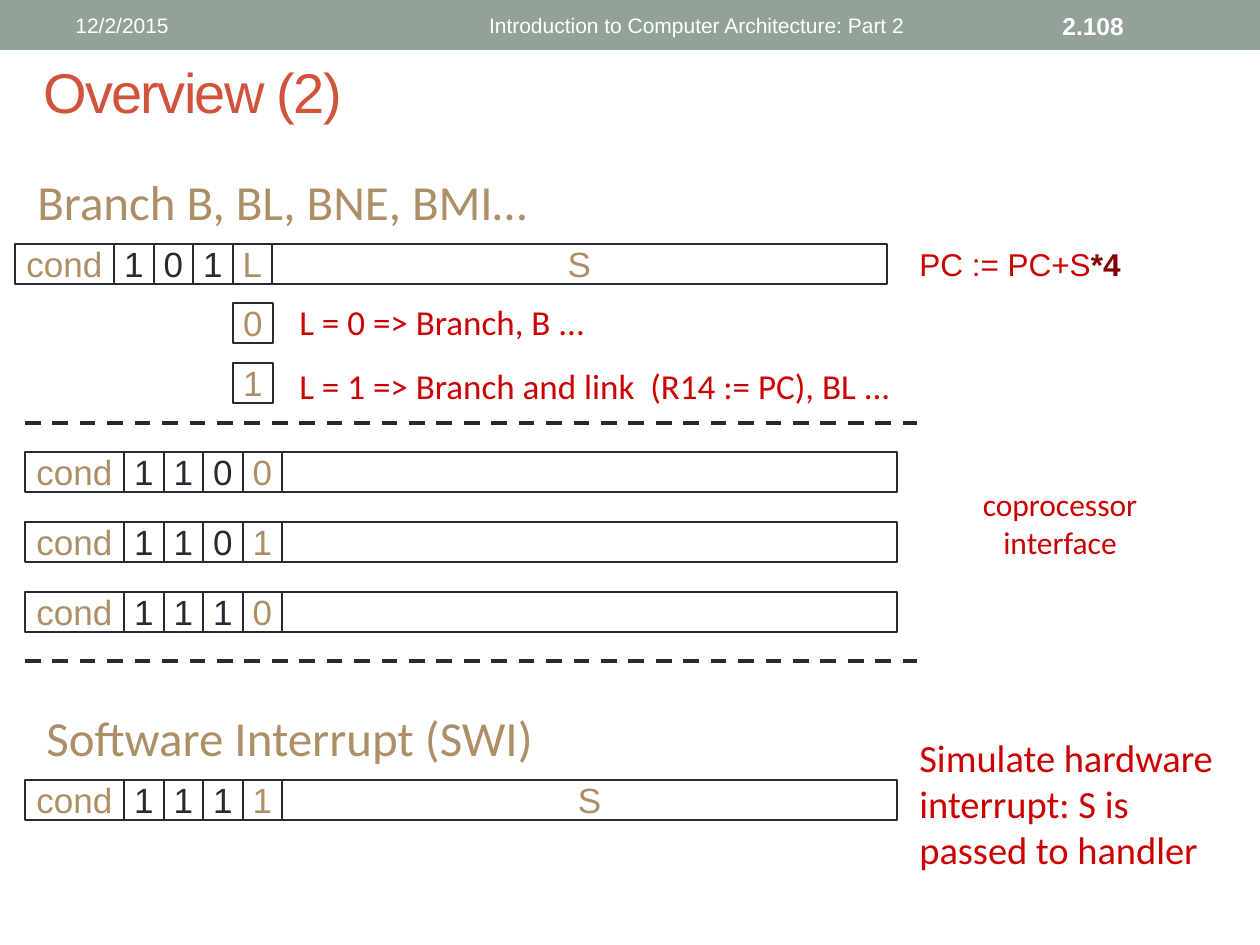
from lxml import etree
from pptx import Presentation
from pptx.dml.color import RGBColor
from pptx.enum.dml import MSO_LINE
from pptx.enum.shapes import MSO_CONNECTOR, MSO_SHAPE
from pptx.enum.text import MSO_ANCHOR, PP_ALIGN
from pptx.oxml.ns import qn
from pptx.util import Emu, Pt

RECTANGLE = MSO_SHAPE.RECTANGLE
STRAIGHT = MSO_CONNECTOR.STRAIGHT
DASH = MSO_LINE.DASH
TOP, MIDDLE = MSO_ANCHOR.TOP, MSO_ANCHOR.MIDDLE
LEFT, CENTER, RIGHT = PP_ALIGN.LEFT, PP_ALIGN.CENTER, PP_ALIGN.RIGHT

EMU_PER_PX = 914400 / 126
INK, TAN, RED, MAROON = "292934", "AD8F67", "CC0000", "800000"
SAGE, CORAL, WHITE = "93A299", "D2533C", "FFFFFF"
SANS, HUMANIST = "Arial", "Calibri"

CELL_HEIGHT = 40
# Field borders of an instruction word: cond, four opcode bits, operand
FIELD_EDGES = (0, 99, 139, 178, 218, 257, 872)
FIELD_COLORS = (TAN, INK, INK, INK, TAN, TAN)


def px(value):
    return Emu(round(value * EMU_PER_PX))


def color(hex_string):
    return RGBColor.from_string(hex_string)


class SlideBuilder:
    def __init__(self, slide):
        self.slide = slide

    def style(self, paragraph, size, font, hex_color, align, bold=False):
        paragraph.alignment = align
        paragraph.font.size = Pt(size)
        paragraph.font.name = font
        paragraph.font.bold = bold
        paragraph.font.color.rgb = color(hex_color)

    def rectangle(self, left, top, width, height):
        shape = self.slide.shapes.add_shape(
            RECTANGLE, px(left), px(top), px(width), px(height))
        shape.shadow.inherit = False
        return shape

    def band(self, left, top, width, height, fill):
        shape = self.rectangle(left, top, width, height)
        shape.fill.solid()
        shape.fill.fore_color.rgb = color(fill)
        shape.line.fill.background()

    def cell(self, left, top, width, text, text_color):
        shape = self.rectangle(left, top, width, CELL_HEIGHT)
        shape.fill.background()
        shape.line.color.rgb = color(INK)
        shape.line.width = Pt(1.5)
        if text:
            frame = shape.text_frame
            frame.word_wrap = False
            frame.vertical_anchor = MIDDLE
            frame.text = text
            self.style(frame.paragraphs[0], 20, SANS, text_color, CENTER)

    def instruction(self, left, top, bits, operand=""):
        fields = ("cond", *bits, operand)
        for start, end, text, text_color in zip(
                FIELD_EDGES, FIELD_EDGES[1:], fields, FIELD_COLORS):
            self.cell(left + start, top, end - start, text, text_color)

    def label(self, left, top, width, height, text, size, hex_color,
              font=HUMANIST, anchor=TOP, align=LEFT, bold=False):
        box = self.slide.shapes.add_textbox(
            px(left), px(top), px(width), px(height))
        frame = box.text_frame
        frame.word_wrap = True
        frame.vertical_anchor = anchor
        frame.text = text
        paragraph = frame.paragraphs[0]
        self.style(paragraph, size, font, hex_color, align, bold)
        return paragraph

    def divider(self, left, right, y):
        line = self.slide.shapes.add_connector(
            STRAIGHT, px(left), px(y), px(right), px(y))
        line.line.color.rgb = color(INK)
        line.line.width = Pt(2.25)
        line.line.dash_style = DASH
        etree.SubElement(line._element.spPr, qn("a:effectLst"))


def main():
    presentation = Presentation()
    presentation.slide_width, presentation.slide_height = px(1260), px(945)
    builder = SlideBuilder(
        presentation.slides.add_slide(presentation.slide_layouts[6]))

    # Header band and title
    builder.band(0, 0, 1260, 50, SAGE)
    builder.label(63, 3, 260, 45, "12/2/2015", 12, WHITE, SANS, MIDDLE)
    builder.label(350, 3, 567, 45, "Introduction to Computer Architecture: Part 2",
                  12, WHITE, SANS, MIDDLE, RIGHT)
    builder.label(1050, 3, 147, 45, "2.108", 14, WHITE, SANS, MIDDLE, bold=True)
    title = builder.label(31, 45, 1134, 92, "Overview (2)", 32, CORAL, SANS, MIDDLE)
    title.runs[0].font._element.set("spc", "-100")

    # Branch instructions
    builder.label(25, 165, 528, 72, "Branch B, BL, BNE, BMI…", 28, TAN)
    builder.instruction(15, 244, "101L", "S")
    target = builder.label(907, 244, 238, 40, "PC := PC+S", 18, RED, SANS, MIDDLE)
    factor = target.add_run()
    factor.text = "*4"
    factor.font.bold = True
    factor.font.color.rgb = color(MAROON)

    # Values of the link bit
    link_left = 15 + FIELD_EDGES[4]
    builder.cell(link_left, 303, 40, "0", TAN)
    builder.label(287, 294, 316, 54, "L = 0 => Branch, B ...", 20, RED)
    builder.cell(link_left, 363, 40, "1", TAN)
    builder.label(287, 358, 627, 54,
                  "L = 1 => Branch and link  (R14 := PC), BL ...", 20, RED)

    # Coprocessor instructions between dashed dividers
    for y in (423, 661):
        builder.divider(25, 917, y)
    for row, bits in enumerate(("1100", "1101", "1110")):
        builder.instruction(25, 452 + 70 * row, bits)
    builder.label(917, 479, 286, 113, "coprocessor interface", 18, RED, align=CENTER)

    # Software interrupt
    builder.label(34, 701, 529, 72, "Software Interrupt (SWI)", 28, TAN)
    builder.instruction(25, 780, "1111", "S")
    builder.label(907, 757, 348, 92,
                  "Simulate hardware interrupt: S is passed to handler",
                  22, RED, anchor=MIDDLE)

    presentation.save("out.pptx")


if __name__ == "__main__":
    main()
